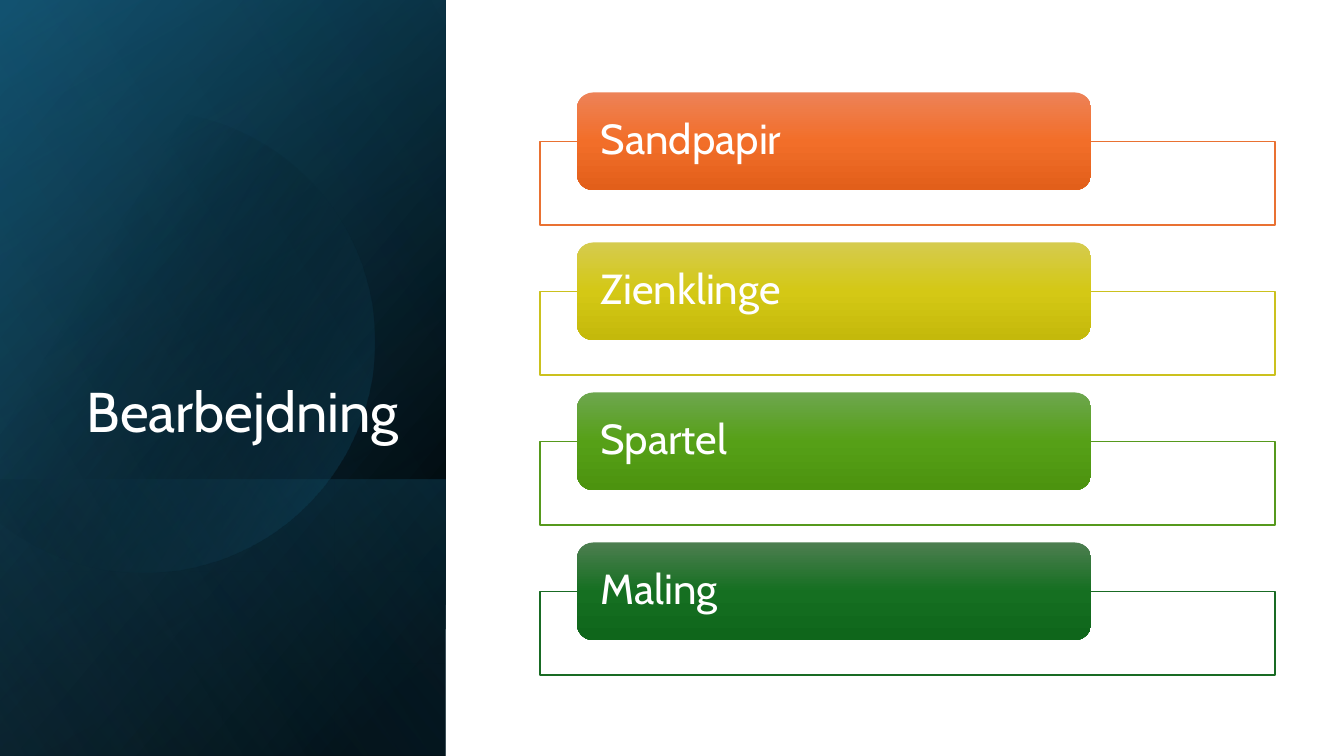
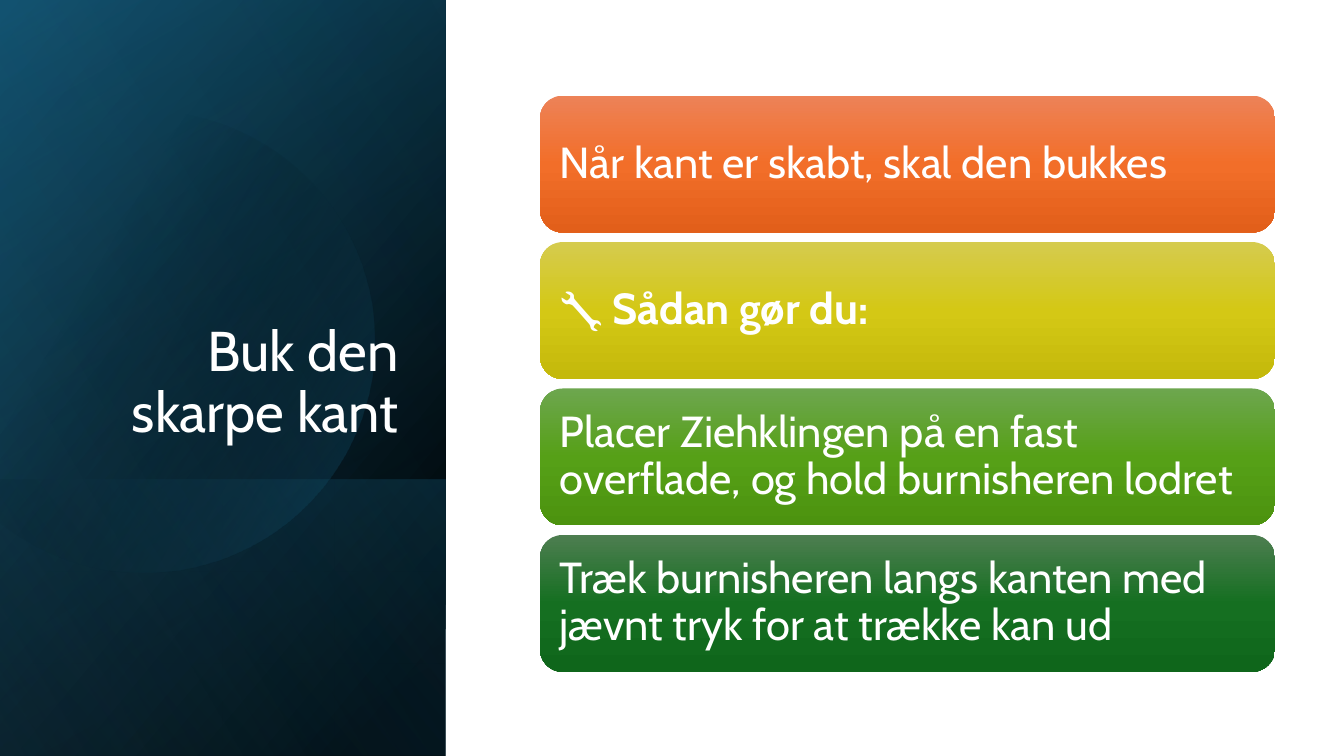
"""Build two workshop slides with a dark title panel and coloured cards."""
from dataclasses import dataclass
import math

from pptx import Presentation
from pptx import util as u
from pptx.dml.color import RGBColor
from pptx.enum import shapes, text
from pptx.oxml import parse_xml
from pptx.oxml.ns import nsdecls, qn

COLORS = {
    "white": "FFFFFF", "black": "000000", "navy": "104862", "teal": "156082", "sky": "46B1E1",
    "orange": "E97132", "orange_hi": "ED8257", "orange_mid": "F26E29", "orange_lo": "E25F1A",
    "yellow": "CBC11E", "yellow_hi": "D5CB4E", "yellow_mid": "D4C815", "yellow_lo": "C4B90B",
    "green": "56991D", "green_hi": "6DA64E", "green_mid": "56A017", "green_lo": "4C930F",
    "forest": "196B24", "forest_hi": "4D7E50", "forest_mid": "156F21", "forest_lo": "0F661B",
}
HUES = ["orange", "yellow", "green", "forest"]
FONT = "Cabin"
SLIDE_W, SLIDE_H = 33.87, 19.05
PANEL_W = 11.23
CARDS_X, CARDS_W = 13.61, 18.52


@dataclass
class Stop:
    pos: int
    color: str
    alpha: int = 100


@dataclass
class Layer:
    top: float
    angle: int
    stops: list[Stop]


@dataclass
class CardStyle:
    left: float
    top: float
    width: float
    height: float
    pitch: float
    size: int
    inset: float


@dataclass
class Run:
    text: str
    bold: bool = False


LAYERS = [
    Layer(0, 50, [Stop(8, "black"), Stop(100, "navy")]),
    Layer(0, 30, [Stop(0, "black", 0), Stop(99, "teal", 46)]),
    Layer(12.09, 130, [Stop(2, "teal", 29), Stop(100, "black", 30)]),
]
GLOW = Layer(0, 120, [Stop(0, "black", 0), Stop(99, "sky", 11)])
DISC_STOPS = [Stop(29, "black", 0), Stop(100, "teal", 43)]

TABS = CardStyle(14.54, 2.33, 12.96, 2.46, 3.78, 30, 0.48)
BARS = CardStyle(CARDS_X, 2.41, CARDS_W, 3.45, 3.69, 31, 0.33)


def rgb(name: str) -> RGBColor:
    return RGBColor.from_string(COLORS[name])


def set_gradient(sp, angle: int, stops: list[Stop]) -> None:
    marks = "".join(
        f'<a:gs pos="{s.pos * 1000}"><a:srgbClr val="{COLORS[s.color]}">'
        f'<a:alpha val="{s.alpha * 1000}"/></a:srgbClr></a:gs>' for s in stops)
    grad = parse_xml(
        f'<a:gradFill {nsdecls("a")} rotWithShape="1"><a:gsLst>{marks}</a:gsLst>'
        f'<a:lin ang="{angle * 60000}" scaled="0"/></a:gradFill>')
    sp.fill.background()
    sp.line.fill.background()
    sp.shadow.inherit = False
    spPr = sp._element.spPr
    spPr.replace(spPr.find(qn("a:noFill")), grad)


def add_layer(slide, layer: Layer) -> None:
    h = SLIDE_H - layer.top
    sp = slide.shapes.add_shape(
        shapes.MSO_SHAPE.RECTANGLE, u.Cm((PANEL_W - h) / 2),
        u.Cm(layer.top + (h - PANEL_W) / 2), u.Cm(h), u.Cm(PANEL_W))
    sp.rotation = 90
    sp._element.spPr.xfrm.set("flipH", "1")
    set_gradient(sp, layer.angle, layer.stops)


def add_disc(slide) -> None:
    cx, cy, radius = 3.63, 8.61, 5.82
    end = math.acos(-cx / radius)
    steps = 120
    angles = [end * (2 * i / steps - 1) for i in range(steps + 1)]
    points = [(u.Cm(cx + radius * math.cos(a)), u.Cm(cy + radius * math.sin(a))) for a in angles]
    builder = slide.shapes.build_freeform(*points[0])
    builder.add_line_segments(points[1:], close=True)
    set_gradient(builder.convert_to_shape(), 30, DISC_STOPS)


def write(tf, runs: list[Run], size: int, align, anchor) -> None:
    tf.word_wrap = True
    tf.vertical_anchor = anchor
    p = tf.paragraphs[0]
    p.alignment = align
    p.line_spacing = 0.9
    p.font.name = FONT
    p.font.size = u.Pt(size)
    p.font.color.rgb = rgb("white")
    for run in runs:
        r = p.add_run()
        r.text = run.text
        if run.bold:
            r.font.bold = True


def add_base(prs, title: str):
    slide = prs.slides.add_slide(prs.slide_layouts[6])
    for layer in LAYERS:
        add_layer(slide, layer)
    add_disc(slide)
    add_layer(slide, GLOW)
    box = slide.shapes.add_textbox(u.Cm(1.63), u.Cm(4.67), u.Cm(8.66), u.Cm(6.65))
    write(box.text_frame, [Run(title)], 40, text.PP_ALIGN.RIGHT, text.MSO_ANCHOR.BOTTOM)
    return slide


def add_frame(slide, top: float, hue: str) -> None:
    sp = slide.shapes.add_shape(
        shapes.MSO_SHAPE.RECTANGLE, u.Cm(CARDS_X), u.Cm(top), u.Cm(CARDS_W), u.Cm(2.11))
    sp.shadow.inherit = False
    sp.fill.solid()
    sp.fill.fore_color.rgb = rgb("white")
    sp.line.color.rgb = rgb(hue)
    sp.line.width = u.Pt(1)


def add_cards(slide, style: CardStyle, cards: list[list[Run]], framed: bool = False) -> None:
    for i, (hue, runs) in enumerate(zip(HUES, cards)):
        top = style.top + i * style.pitch
        if framed:
            add_frame(slide, top + style.height / 2, hue)
        sp = slide.shapes.add_shape(
            shapes.MSO_SHAPE.ROUNDED_RECTANGLE, u.Cm(style.left), u.Cm(top),
            u.Cm(style.width), u.Cm(style.height))
        set_gradient(sp, 90, [Stop(0, f"{hue}_hi"), Stop(50, f"{hue}_mid"), Stop(100, f"{hue}_lo")])
        tf = sp.text_frame
        tf.margin_left = tf.margin_right = u.Cm(style.inset)
        tf.margin_top = tf.margin_bottom = 0
        write(tf, runs, style.size, text.PP_ALIGN.LEFT, text.MSO_ANCHOR.MIDDLE)


def main() -> None:
    prs = Presentation()
    prs.slide_width, prs.slide_height = u.Cm(SLIDE_W), u.Cm(SLIDE_H)
    tools = ["Sandpapir", "Zienklinge", "Spartel", "Maling"]
    add_cards(add_base(prs, "Bearbejdning"), TABS, [[Run(t)] for t in tools], framed=True)
    add_cards(add_base(prs, "Buk den skarpe kant"), BARS, [
        [Run("Når kant er skabt, skal den bukkes")],
        [Run("🔧 "), Run("Sådan gør du:", bold=True)],
        [Run("Placer Ziehklingen på en fast overflade, og hold burnisheren lodret")],
        [Run("Træk burnisheren langs kanten med jævnt tryk for at trække kan ud")],
    ])
    prs.save("out.pptx")


if __name__ == "__main__":
    main()
